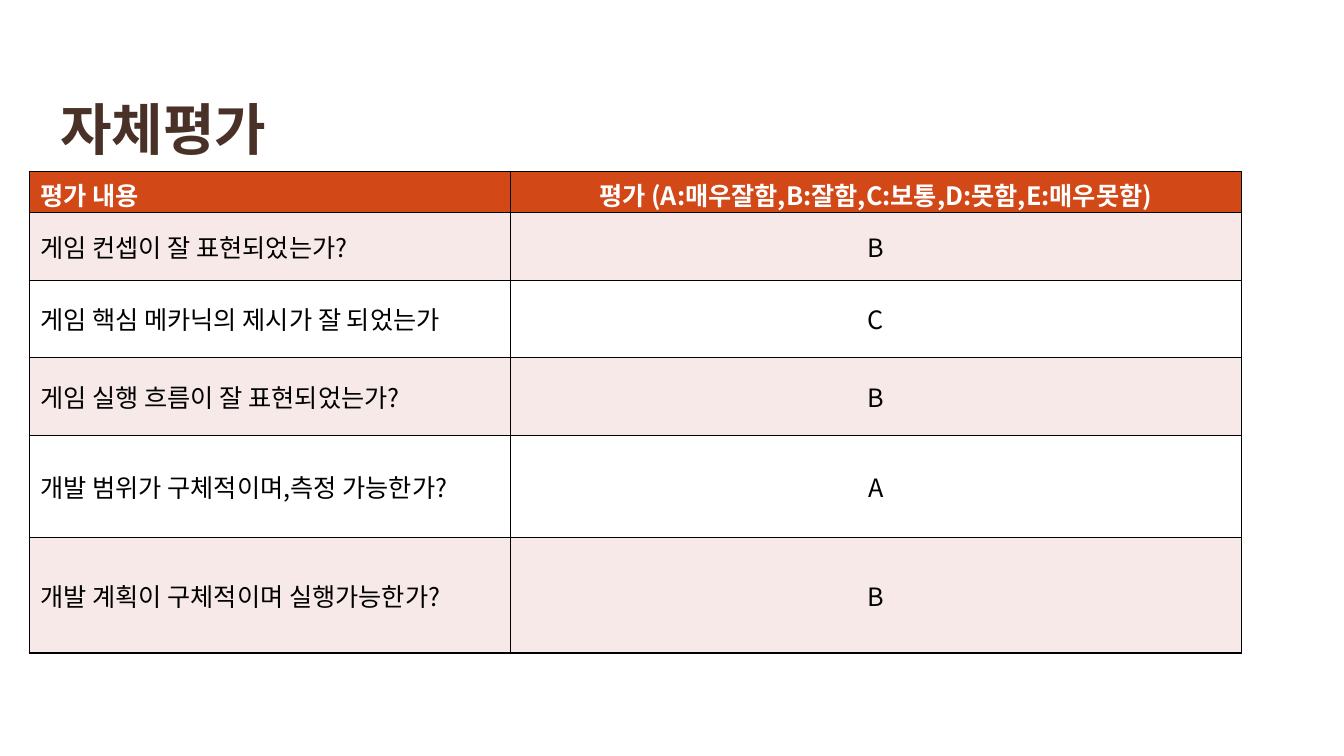
from pptx import Presentation
from pptx import util as u
from pptx.dml.color import RGBColor
from pptx.enum import text
from pptx.oxml import ns
from lxml import etree

BROWN = RGBColor(0x4A, 0x31, 0x28)
ORANGE = RGBColor(0xD3, 0x48, 0x17)
PINK = RGBColor(0xF7, 0xE9, 0xE8)
WHITE = RGBColor(0xFF, 0xFF, 0xFF)
BLACK = RGBColor(0, 0, 0)

LATIN_FONT = "Arial"
KOREAN_FONT = "Noto Sans CJK KR"


class SlideBuilder:
    """Holds the style and the current slide."""

    def __init__(self, page):
        self.page = page
        self.title_size = u.Pt(40)
        self.cell_size = u.Pt(18)
        self.border_width = u.Pt(1)

    def add_span(self, para, words, font, size, color, bold):
        span = para.add_run()
        span.text = words
        span.font.name = font
        span.font.size = size
        span.font.bold = bold
        span.font.color.rgb = color
        # Hangul takes its face from the East Asian font
        latin = span.font._element.find(ns.qn("a:latin"))
        east_asian = etree.Element(ns.qn("a:ea"), typeface=KOREAN_FONT)
        latin.addnext(east_asian)

    def title(self, words, left, top, width, height):
        box = self.page.shapes.add_textbox(*map(u.Inches, (left, top, width, height)))
        frame = box.text_frame
        frame.word_wrap = True
        frame.vertical_anchor = text.MSO_ANCHOR.MIDDLE
        para = frame.paragraphs[0]
        para.line_spacing = self.title_size
        self.add_span(para, words, LATIN_FONT, self.title_size, BROWN, True)

    def borders(self, cell):
        properties = cell._tc.get_or_add_tcPr()
        for position, side in enumerate(("lnL", "lnR", "lnT", "lnB")):
            line = etree.Element(ns.qn(f"a:{side}"), w=str(int(self.border_width)))
            fill = etree.SubElement(line, ns.qn("a:solidFill"))
            etree.SubElement(fill, ns.qn("a:srgbClr"), val=str(BLACK))
            properties.insert(position, line)

    def cell(self, cell, words, fill, color, bold, align):
        cell.fill.solid()
        cell.fill.fore_color.rgb = fill
        cell.vertical_anchor = text.MSO_ANCHOR.MIDDLE
        cell.margin_left = cell.margin_right = u.Inches(0.11)
        cell.margin_top = cell.margin_bottom = u.Inches(0.05)
        para = cell.text_frame.paragraphs[0]
        para.alignment = align
        self.add_span(para, words, KOREAN_FONT, self.cell_size, color, bold)
        self.borders(cell)

    def table(self, rows, left, top, widths, heights):
        frame = self.page.shapes.add_table(
            len(rows), len(widths), u.Inches(left), u.Inches(top),
            u.Inches(sum(widths)), u.Inches(sum(heights)))
        grid = frame.table
        for column, width in zip(grid.columns, widths):
            column.width = u.Inches(width)
        for row, height in zip(grid.rows, heights):
            row.height = u.Inches(height)
        aligns = (text.PP_ALIGN.LEFT, text.PP_ALIGN.CENTER)
        for number, row in enumerate(rows):
            header = number == 0
            fill = ORANGE if header else PINK if number % 2 else WHITE
            color = WHITE if header else BLACK
            for column, (words, align) in enumerate(zip(row, aligns)):
                self.cell(grid.cell(number, column), words, fill, color, header, align)


deck = Presentation()
deck.slide_width = u.Inches(13.33)
deck.slide_height = u.Inches(7.5)
builder = SlideBuilder(deck.slides.add_slide(deck.slide_layouts[6]))

# Title
builder.title("자체평가", 0.5, 0.7, 11.04, 1.26)

# Self-evaluation table
EVALUATION = [
    ("평가 내용", "평가 (A:매우잘함,B:잘함,C:보통,D:못함,E:매우못함)"),
    ("게임 컨셉이 잘 표현되었는가?", "B"),
    ("게임 핵심 메카닉의 제시가 잘 되었는가", "C"),
    ("게임 실행 흐름이 잘 표현되었는가?", "B"),
    ("개발 범위가 구체적이며,측정 가능한가?", "A"),
    ("개발 계획이 구체적이며 실행가능한가?", "B"),
]
builder.table(EVALUATION, 0.29, 1.7, (4.77, 7.25),
              (0.41, 0.67, 0.77, 0.77, 1.01, 1.15))

deck.save("out.pptx")
